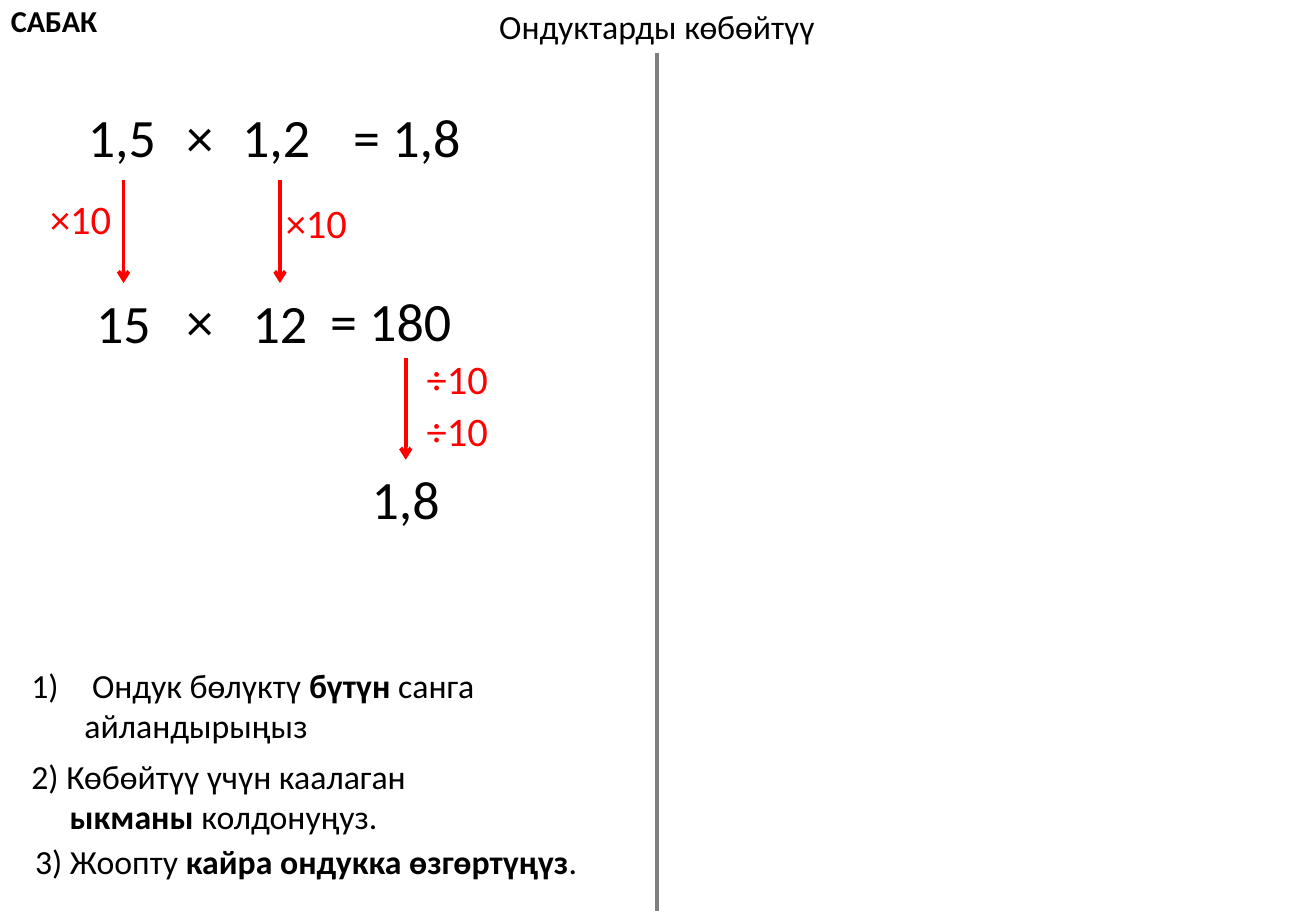
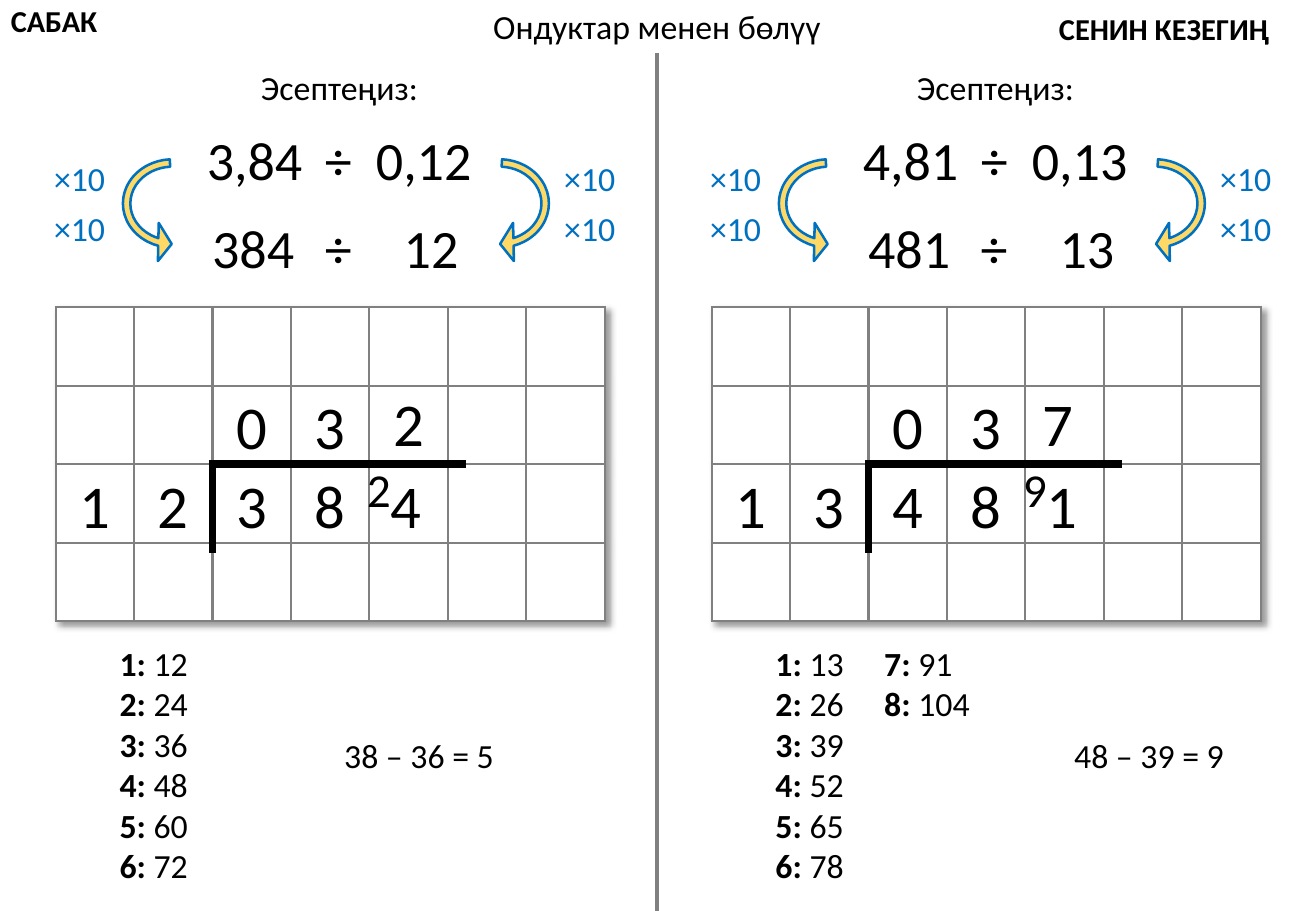
from dataclasses import dataclass

from lxml import etree
from pptx import Presentation
from pptx.dml.color import RGBColor
from pptx.enum.shapes import MSO_CONNECTOR, MSO_SHAPE
from pptx.enum.text import MSO_ANCHOR, MSO_AUTO_SIZE, PP_ALIGN
from pptx.oxml import parse_xml
from pptx.oxml.ns import nsdecls, qn
from pptx.presentation import Presentation as Deck
from pptx.shapes.autoshape import Shape
from pptx.shapes.connector import Connector
from pptx.slide import Slide
from pptx.util import Pt

STRAIGHT = MSO_CONNECTOR.STRAIGHT
CIRCULAR_ARROW = MSO_SHAPE.CIRCULAR_ARROW
TOP = MSO_ANCHOR.TOP
FIT_SHAPE, NO_FIT = MSO_AUTO_SIZE.SHAPE_TO_FIT_TEXT, MSO_AUTO_SIZE.NONE
LEFT, CENTER = PP_ALIGN.LEFT, PP_ALIGN.CENTER

FONT = "Calibri"
COLORS = {
    "ink": "000000",
    "paper": "FFFFFF",
    "rule": "808080",
    "step": "FF0000",
    "scale": "0070C0",
    "arrow": "FFD966",
}
SLIDE_WIDTH, SLIDE_HEIGHT = 780, 540
DIVIDER_X, DIVIDER_TOP = 389.5, 31.7
HALF_SHIFT = 388.8
TITLE_WIDTH = 220
GRID_LEFT, GRID_TOP = 33, 182
GRID_COLUMNS, GRID_ROWS = 7, 4
CELL_WIDTH, CELL_HEIGHT = 46.5, 46.6
DIGIT_WIDTH = 33
QUOTIENT_TOP, DIVIDEND_TOP = 226.8, 273.6
ARROW_ADJUSTMENTS = (0.062, 11.423, 203.847, 110.164, 0.16)


@dataclass(frozen=True)
class Label:
    text: str
    left: float
    top: float
    width: float
    size: float = 20
    color: str = "ink"
    align: PP_ALIGN = CENTER
    indents: tuple[float, ...] = ()
    tabs: tuple[float, ...] = ()
    numbered: bool = False


@dataclass(frozen=True)
class Division:
    shift: float
    dividend: str
    divisor: str
    whole_dividend: str
    whole_divisor: str
    quotient: str
    last_quotient_left: float
    carry: str
    multiples: str
    subtraction: str
    subtraction_left: float


def rgb(name: str) -> RGBColor:
    return RGBColor.from_string(COLORS[name])


def line_height(size: float, lines: int = 1) -> float:
    return lines * size * 1.2 + 7.2


def draw_label(slide: Slide, label: Label, shift: float = 0) -> Shape:
    lines = label.text.split("\n")
    box = slide.shapes.add_textbox(
        Pt(label.left + shift), Pt(label.top), Pt(label.width),
        Pt(line_height(label.size, len(lines))),
    )
    frame = box.text_frame
    frame.word_wrap = bool(label.tabs)
    frame.auto_size = FIT_SHAPE
    for index, line in enumerate(lines):
        paragraph = frame.paragraphs[0] if index == 0 else frame.add_paragraph()
        paragraph.alignment = label.align
        properties = paragraph._p.get_or_add_pPr()
        if label.indents:
            properties.set("marL", str(Pt(label.indents[index])))
        if label.numbered and index == 0:
            properties.set("indent", str(-Pt(label.indents[0])))
            number = etree.SubElement(properties, qn("a:buAutoNum"))
            number.set("type", "arabicParenR")
        if label.tabs:
            stops = etree.SubElement(properties, qn("a:tabLst"))
            for position in label.tabs:
                etree.SubElement(stops, qn("a:tab"), pos=str(Pt(position)), algn="ctr")
        for part, words in enumerate(line.split("*")):
            if words:
                run = paragraph.add_run()
                run.text = words
                run.font.name = FONT
                run.font.size = Pt(label.size)
                run.font.bold = part % 2 == 1
                run.font.color.rgb = rgb(label.color)
    return box


def draw_line(slide: Slide, start: tuple[float, float], end: tuple[float, float],
              color: str, weight: float, arrow: bool = False) -> Connector:
    line = slide.shapes.add_connector(STRAIGHT, *map(Pt, start + end))
    line.line.color.rgb = rgb(color)
    line.line.width = Pt(weight)
    properties = line._element.spPr
    if arrow:
        etree.SubElement(properties.find(qn("a:ln")), qn("a:tailEnd"), type="arrow")
    etree.SubElement(properties, qn("a:effectLst"))
    return line


def start_slide(deck: Deck, heading: str) -> Slide:
    slide = deck.slides.add_slide(deck.slide_layouts[5])
    title = slide.shapes.title
    title.left, title.top = Pt(DIVIDER_X - TITLE_WIDTH / 2), Pt(0)
    title.width, title.height = Pt(TITLE_WIDTH), Pt(line_height(20))
    frame = title.text_frame
    frame.text = heading
    frame.auto_size = NO_FIT
    frame.word_wrap = False
    frame.vertical_anchor = TOP
    paragraph = frame.paragraphs[0]
    paragraph.alignment = CENTER
    font = paragraph.runs[0].font
    font.name, font.size, font.color.rgb = FONT, Pt(20), rgb("ink")
    draw_line(slide, (DIVIDER_X, DIVIDER_TOP), (DIVIDER_X, SLIDE_HEIGHT), "rule", 2.25)
    draw_label(slide, Label("*САБАК*", -0.7, -2.2, 72.7, 18, align=LEFT))
    return slide


def draw_grid(slide: Slide, shift: float) -> None:
    table = slide.shapes.add_table(
        GRID_ROWS, GRID_COLUMNS, Pt(GRID_LEFT + shift), Pt(GRID_TOP),
        Pt(CELL_WIDTH * GRID_COLUMNS), Pt(CELL_HEIGHT * GRID_ROWS),
    ).table
    table.first_row = table.horz_banding = False
    table._tbl.tblPr.insert(0, parse_xml(
        f'<a:effectLst {nsdecls("a")}><a:outerShdw blurRad="50800" dist="38100" '
        'dir="2700000" algn="tl" rotWithShape="0"><a:prstClr val="black">'
        '<a:alpha val="40000"/></a:prstClr></a:outerShdw></a:effectLst>'
    ))
    for column in table.columns:
        column.width = Pt(CELL_WIDTH)
    for row in table.rows:
        row.height = Pt(CELL_HEIGHT)
    for cell in table.iter_cells():
        properties = cell._tc.get_or_add_tcPr()
        for side in ("lnL", "lnR", "lnT", "lnB"):
            properties.append(parse_xml(
                f'<a:{side} {nsdecls("a")} w="{Pt(1.5)}"><a:solidFill>'
                f'<a:srgbClr val="{COLORS["rule"]}"/></a:solidFill></a:{side}>'
            ))
        cell.fill.solid()
        cell.fill.fore_color.rgb = rgb("paper")


def draw_turn_arrow(slide: Slide, left: float, flipped: bool) -> None:
    arrow = slide.shapes.add_shape(CIRCULAR_ARROW, Pt(left), Pt(82.1), Pt(70.6), Pt(77))
    for index, value in enumerate(ARROW_ADJUSTMENTS):
        arrow.adjustments[index] = value
    arrow.rotation = 90
    if flipped:
        arrow._element.spPr.find(qn("a:xfrm")).set("flipV", "1")
    arrow.shadow.inherit = False
    arrow.fill.solid()
    arrow.fill.fore_color.rgb = rgb("arrow")
    arrow.line.color.rgb = rgb("scale")
    arrow.line.width = Pt(1.5)


def draw_digit(slide: Slide, digit: str, column: int, top: float, shift: float) -> None:
    left = GRID_LEFT + column * CELL_WIDTH + (CELL_WIDTH - DIGIT_WIDTH) / 2
    draw_label(slide, Label(digit, left, top, DIGIT_WIDTH, 36), shift)


def draw_division(slide: Slide, division: Division) -> None:
    shift = division.shift
    draw_grid(slide, shift)
    draw_line(slide, (123.8 + shift, 275), (276.5 + shift, 275), "ink", 4.5)
    draw_line(slide, (126 + shift, 274.3), (126 + shift, 327.6), "ink", 4.5)
    for column, digit in enumerate(division.whole_divisor + division.whole_dividend[:2]):
        draw_digit(slide, digit, column, DIVIDEND_TOP, shift)
    for column, digit in enumerate(division.quotient[:2], start=2):
        draw_digit(slide, digit, column, QUOTIENT_TOP, shift)
    labels = [
        Label("Эсептеңиз:", 146.9, 36, 108.7),
        Label(f"{division.dividend}\t÷\t{division.divisor}", 115.5, 71.3, 175, 32,
              align=LEFT, tabs=(78, 128.6)),
        Label(division.whole_dividend, 118.1, 123.8, 64, 32),
        Label("÷", 185, 123.8, 31, 32),
        Label(division.whole_divisor, 231.8, 123.8, 47.5, 32),
        Label(division.quotient[2], division.last_quotient_left, 225.4, DIGIT_WIDTH, 36),
        Label(division.whole_dividend[2], 223.9, DIVIDEND_TOP, DIGIT_WIDTH, 36),
        Label(division.carry, 210.2, 269.3, 28.8, 28),
        Label(division.multiples, 63.4, 377.3, 55.4),
        Label(division.subtraction, division.subtraction_left, 432, 103.7),
    ]
    labels += [Label("×10", left, top, 45.4, color="scale")
               for left in (24.5, 326.9) for top in (90, 119.5)]
    for label in labels:
        draw_label(slide, label, shift)
    draw_turn_arrow(slide, 67 + shift, True)
    draw_turn_arrow(slide, 260.6 + shift, False)


MULTIPLICATION = (
    Label("1,5", 44.6, 57.6, 55.4, 32),
    Label("×", 103, 57.6, 31, 32),
    Label("1,2", 136.1, 57.6, 55.4, 32),
    Label("= 1,8", 202.3, 57.6, 79.2, 32, align=LEFT),
    Label("×", 103, 167, 31, 32),
    Label("= 180", 188.6, 167, 87.1, 32, align=LEFT),
    Label("×10", 22.3, 111.6, 51, 24, "step"),
    Label("×10", 162, 113.8, 51, 24, "step"),
    Label("÷10", 245.5, 206.6, 51, 24, "step"),
    Label("÷10", 245.5, 236.9, 51, 24, "step"),
    Label("Ондук бөлүктү *бүтүн* санга\nайландырыңыз", 11.5, 390.2, 283,
          align=LEFT, indents=(36, 31.5), numbered=True),
    Label("2) Көбөйтүү үчүн каалаган\n*ыкманы* колдонуңуз.", 11.5, 444.2, 243.4,
          align=LEFT, indents=(0, 22.7)),
    Label("3) Жоопту *кайра ондукка өзгөртүңүз*.", 13.7, 494.6, 338.4, align=LEFT),
)
ARROW_TARGETS = (
    (Label("15", 49.5, 167.8, 47.5, 32), 106.6),
    (Label("12", 142.2, 167.8, 47.5, 32), 106.6),
    (Label("1,8", 212.8, 272.5, 55.4, 32), 212.4),
)
DIVISIONS = (
    Division(0, "3,84", "0,12", "384", "12", "032", 226.1, "2",
             "\n".join(f"*{n}:* {12 * n}" for n in range(1, 7)),
             "38 – 36 = 5", 196.6),
    Division(HALF_SHIFT, "4,81", "0,13", "481", "13", "037", 221.8, "9",
             "\n".join(f"*{n}:* {13 * n}" for n in range(1, 7)),
             "48 – 39 = 9", 240.5),
)


def build_multiplication(deck: Deck) -> None:
    slide = start_slide(deck, "Ондуктарды көбөйтүү")
    for label in MULTIPLICATION:
        draw_label(slide, label)
    for label, arrow_top in ARROW_TARGETS:
        target = draw_label(slide, label)
        x = label.left + label.width / 2
        arrow = draw_line(slide, (x, arrow_top), (x, label.top), "step", 2.25, True)
        arrow.end_connect(target, 0)


def build_division(deck: Deck) -> None:
    slide = start_slide(deck, "Ондуктар менен бөлүү")
    draw_label(slide, Label("*СЕНИН КЕЗЕГИҢ*", 620.6, 2.2, 163.4, 18, align=LEFT))
    for division in DIVISIONS:
        draw_division(slide, division)
    draw_label(slide, Label("*7:* 91\n*8:* 104", 517, 377.3, 65.5, align=LEFT))


def main() -> None:
    deck = Presentation()
    deck.slide_width, deck.slide_height = Pt(SLIDE_WIDTH), Pt(SLIDE_HEIGHT)
    build_multiplication(deck)
    build_division(deck)
    deck.save("out.pptx")


if __name__ == "__main__":
    main()
